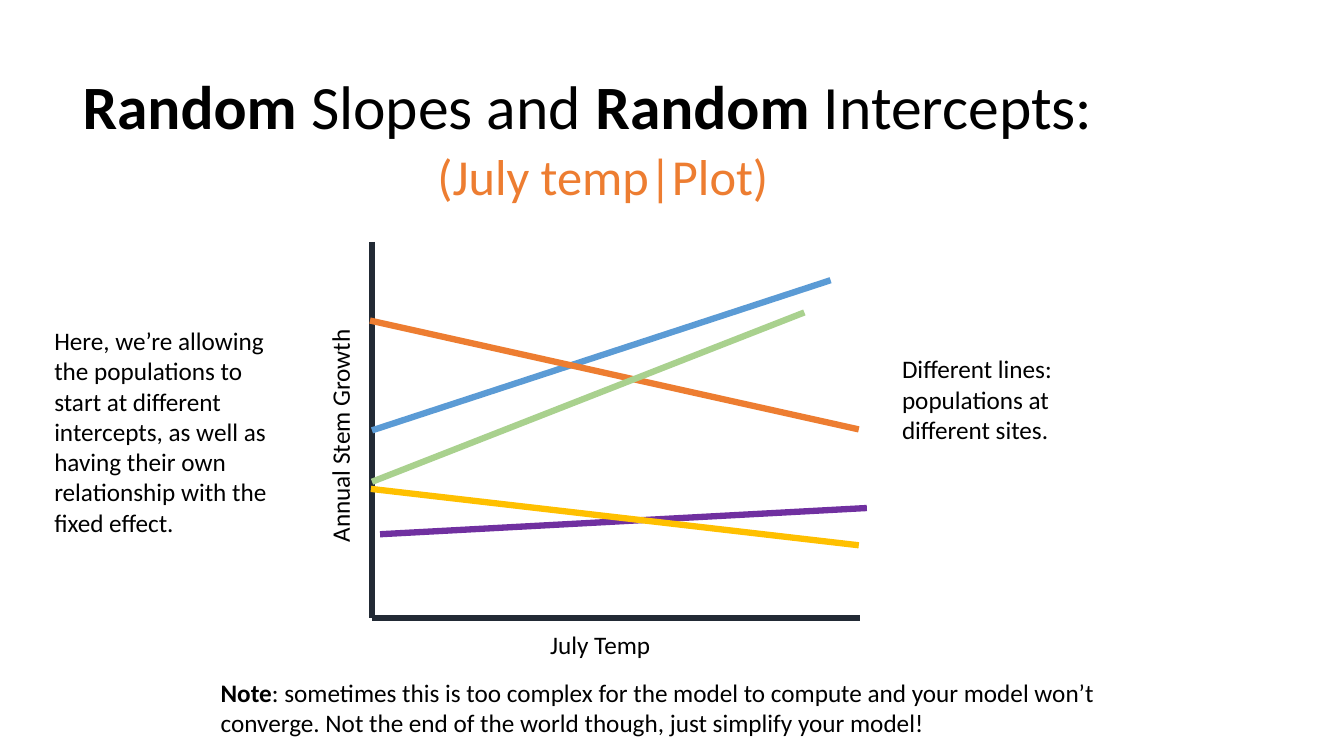
from lxml.etree import SubElement
from pptx import Presentation
from pptx.dml.color import RGBColor
from pptx.enum.shapes import MSO_CONNECTOR
from pptx.enum.text import MSO_ANCHOR, MSO_AUTO_SIZE
from pptx.oxml.ns import qn
from pptx.util import Inches, Pt

BLACK = RGBColor(0x00, 0x00, 0x00)
NAVY = RGBColor(0x22, 0x2A, 0x35)
BLUE = RGBColor(0x5B, 0x9B, 0xD5)
ORANGE = RGBColor(0xED, 0x7D, 0x31)
PURPLE = RGBColor(0x70, 0x30, 0xA0)
YELLOW = RGBColor(0xFF, 0xC0, 0x00)
GREEN = RGBColor(0xA9, 0xD1, 0x8E)

# Lengths are percentages of the slide's width and height
WIDTH, HEIGHT = Inches(13.333), Inches(7.5)
AXIS_LEFT, AXIS_RIGHT = 27.68, 63.98
AXIS_TOP, AXIS_BOTTOM = 32, 81.73
LABEL_WIDTH, LABEL_HEIGHT = 17.7, 5.33

# Start and end of each population's line: x, y, x, y
POPULATIONS = [
    (BLUE, (61.8, 37.07, AXIS_LEFT, 56.93)),
    (ORANGE, (63.9, 56.8, 27.53, 42.4)),
    (PURPLE, (64.5, 67.2, 28.28, 70.67)),
    (YELLOW, (63.9, 72.13, 27.6, 64.67)),
    (GREEN, (59.85, 41.33, AXIS_LEFT, 63.73)),
]


def across(share):
    return round(WIDTH * share / 100)


def down(share):
    return round(HEIGHT * share / 100)


def place(shape, left, top, width, height):
    shape.left, shape.top = across(left), down(top)
    shape.width, shape.height = across(width), down(height)


def write(frame, spans, size, color):
    """Fill the frame with one paragraph of (text, bold) spans."""
    frame.word_wrap = True
    para = frame.paragraphs[0]
    para.font.name = "Calibri"
    para.font.size = Pt(size)
    para.font.color.rgb = color
    for text, bold in spans:
        span = para.add_run()
        span.text = text
        span.font.bold = bold
    return para


def add_title(page, spans):
    title = page.shapes.title
    place(title, 0.6, 4.8, 86.25, 19.33)
    title.text_frame.vertical_anchor = MSO_ANCHOR.MIDDLE
    write(title.text_frame, spans, 44, BLACK).line_spacing = 0.9


def add_text(page, bounds, spans, size=18, color=BLACK, rotation=0):
    box = page.shapes.add_textbox(0, 0, 0, 0)
    place(box, *bounds)
    box.rotation = rotation
    write(box.text_frame, spans, size, color)
    box.text_frame.auto_size = MSO_AUTO_SIZE.SHAPE_TO_FIT_TEXT


def add_line(page, color, ends):
    x1, y1, x2, y2 = ends
    line = page.shapes.add_connector(
        MSO_CONNECTOR.STRAIGHT, across(x1), down(y1), across(x2), down(y2))
    line.line.color.rgb = color
    line.line.width = Pt(4.5)
    SubElement(line._element.spPr, qn("a:effectLst"))


def main():
    deck = Presentation()
    deck.slide_width, deck.slide_height = WIDTH, HEIGHT
    page = deck.slides.add_slide(deck.slide_layouts.get_by_name("Title Only"))

    # Title
    add_title(page, [("Random", True), (" Slopes and ", False),
                     ("Random", True), (" Intercepts:", False)])

    # Axes
    add_line(page, NAVY, (AXIS_LEFT, AXIS_TOP, AXIS_LEFT, AXIS_BOTTOM))
    add_line(page, NAVY, (AXIS_RIGHT, AXIS_BOTTOM, AXIS_LEFT, AXIS_BOTTOM))

    # Population lines
    for color, ends in POPULATIONS:
        add_line(page, color, ends)

    # Explanations
    add_text(page, (66.38, 46.13, LABEL_WIDTH, 13.47),
             [("Different lines: populations at different sites.", False)])
    add_text(page, (3.3, 42.4, LABEL_WIDTH, 29.6),
             [("Here, we’re allowing the populations to start at different "
               "intercepts, as well as having their own relationship with "
               "the fixed effect.", False)])
    add_text(page, (15.68, 88.93, 73.8, 9.47),
             [("Note", True),
              (": sometimes this is too complex for the model to compute and "
               "your model won’t converge. Not the end of the world though, "
               "just simplify your model!", False)])

    # Model formula
    add_text(page, (31.8, 18.53, 39.68, 9.47),
             [("(July temp|Plot)", False)], size=36, color=ORANGE)

    # Axis labels
    add_text(page, (16.43, 54.67, LABEL_WIDTH, LABEL_HEIGHT),
             [("Annual Stem Growth", False)], rotation=270)
    add_text(page, (40.2, 82.53, LABEL_WIDTH, LABEL_HEIGHT),
             [("July Temp", False)])

    deck.save("out.pptx")


if __name__ == "__main__":
    main()
